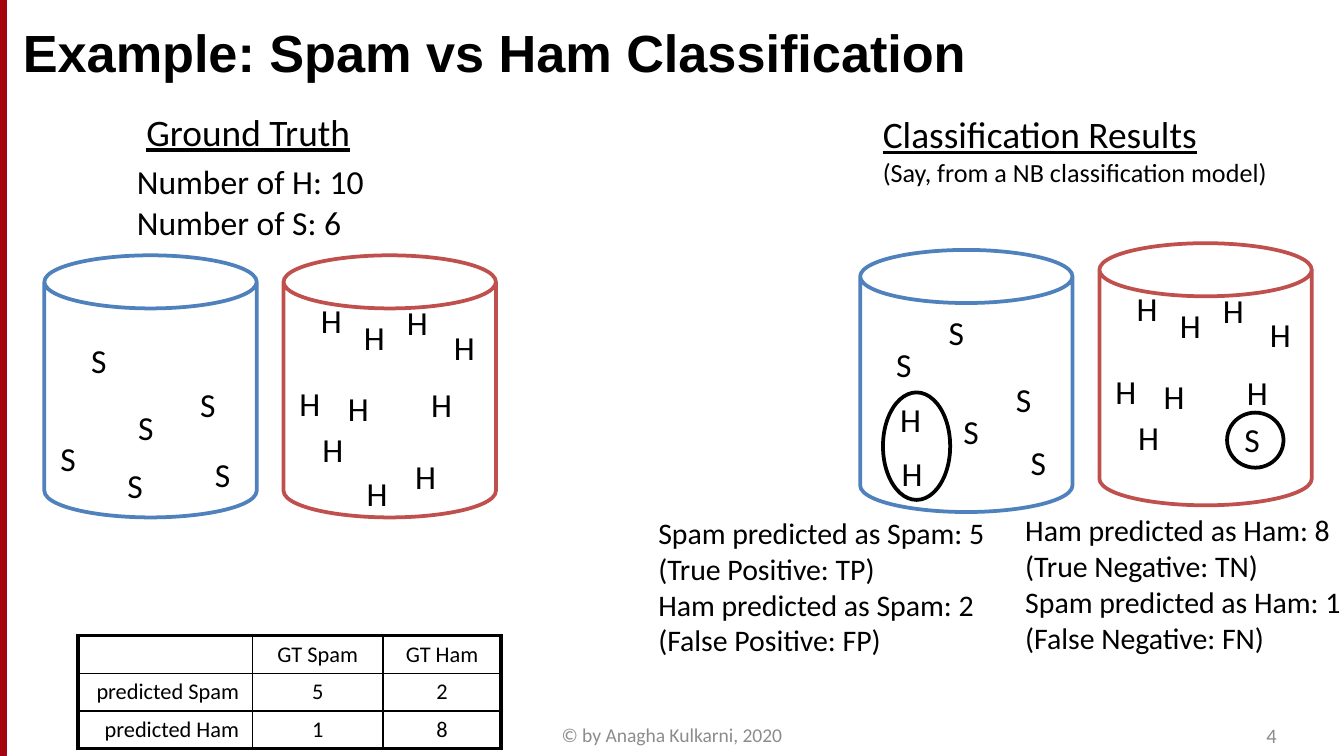
from lxml import etree
from pptx import Presentation
from pptx import util as u
from pptx.dml.color import RGBColor
from pptx.enum import shapes, text
from pptx.oxml import ns

BLACK = RGBColor(0, 0, 0)
WHITE = RGBColor(255, 255, 255)
GRAY = RGBColor(0x8C, 0x8C, 0x8C)
SPAM_BLUE = RGBColor(0x4F, 0x81, 0xBD)
HAM_RED = RGBColor(0xC0, 0x50, 0x4D)
STRIPE = RGBColor(0xA4, 0x05, 0x08)
STRIPE_EDGE = RGBColor(0xA4, 0x00, 0x1D)

CAN_SIZE = (1.58, 1.95)
LETTER_WIDTH = {"H": 0.36, "S": 0.32}

# Letter offsets from the top left corner of their can
SHARED_HAM = [(0.5, 0.41), (1, 0.91), (0.38, 0.94), (1.17, 0.48),
              (0.82, 0.3), (0.02, 0.9), (0.19, 1.24), (0.18, 0.28)]
EXTRA_HAM = [(0.88, 1.44), (0.52, 1.57)]
TRUE_SPAM = [(0.6, 1.08), (0.52, 1.51), (0.02, 1.31),
             (1.06, 0.91), (0.25, 0.58), (1.17, 1.43)]
PREDICTED_SPAM = [(0.56, 0.41), (0.17, 0.65), (1.06, 0.91),
                  (0.67, 1.15), (1.17, 1.38)]
FALSE_POSITIVES = [(0.2, 1.06), (0.21, 1.46)]
FALSE_NEGATIVES = [(0.98, 1.26)]


def inches(*lengths):
    return [u.Inches(length) for length in lengths]


def style_font(font, size, color=BLACK, name="Calibri"):
    font.name = name
    font.size = u.Pt(size)
    font.color.rgb = color


def clear_margins(frame):
    frame.margin_left = frame.margin_right = 0
    frame.margin_top = frame.margin_bottom = 0


def add_text(parent, box, content, size, color=BLACK, align=text.PP_ALIGN.LEFT,
             inset=True):
    frame = parent.shapes.add_textbox(*inches(*box)).text_frame
    frame.word_wrap = True
    if not inset:
        clear_margins(frame)
    frame.text = content
    for paragraph in frame.paragraphs:
        paragraph.alignment = align
        style_font(paragraph.runs[0].font, size, color)
    return frame


def add_outline(parent, preset, box, color, width=2, fill=None):
    outline = parent.shapes.add_shape(preset, *inches(*box))
    outline.shadow.inherit = False
    if fill is None:
        outline.fill.background()
    else:
        outline.fill.solid()
        outline.fill.fore_color.rgb = fill
    outline.line.color.rgb = color
    outline.line.width = u.Pt(width)


def add_can(slide, left, top, color, letters):
    """Draw a can holding letters, given as {letter: offsets}."""
    can = slide.shapes.add_group_shape()
    add_outline(can, shapes.MSO_SHAPE.CAN, (left, top, *CAN_SIZE), color, fill=WHITE)
    for letter, offsets in letters.items():
        for dx, dy in offsets:
            add_text(can, (left + dx, top + dy, LETTER_WIDTH[letter], 0.4), letter, 18)


def add_stripe(slide):
    stripe = slide.shapes.add_connector(
        shapes.MSO_CONNECTOR.STRAIGHT, *inches(0.02, 0, 0.02, 5.62))
    stripe.line.color.rgb = STRIPE
    stripe.line.width = u.Pt(3.6)
    etree.SubElement(stripe._element.spPr, ns.qn("a:effectLst"))
    add_outline(slide, shapes.MSO_SHAPE.RECTANGLE, (0, 0, 0.05, 5.62), STRIPE_EDGE, 0.75)


def add_title(slide):
    title = slide.shapes.title
    title.left, title.top, title.width, title.height = inches(0.17, 0.15, 8.33, 0.47)
    frame = title.text_frame
    clear_margins(frame)
    frame.text = "Example: Spam vs Ham Classification"
    heading = frame.paragraphs[0]
    heading.alignment = text.PP_ALIGN.LEFT
    style_font(heading.runs[0].font, 28, name="Arial")
    heading.runs[0].font.bold = True


def set_borders(cell, widths):
    """Set black borders; widths maps L, R, T, B to points."""
    properties = cell._tc.get_or_add_tcPr()
    for side, width in widths.items():
        border = etree.SubElement(properties, ns.qn(f"a:ln{side}"), w=str(u.Pt(width)))
        fill = etree.SubElement(border, ns.qn("a:solidFill"))
        etree.SubElement(fill, ns.qn("a:srgbClr"), val=str(BLACK))


def add_confusion_matrix(slide):
    rows = [("", "GT Spam", "GT Ham"),
            ("predicted Spam", "5", "2"),
            ("predicted Ham", "1", "8")]
    matrix = slide.shapes.add_table(3, 3, *inches(0.58, 4.73, 3.15, 0.83)).table
    for column, width in zip(matrix.columns, (1.3, 0.97, 0.88)):
        column.width = u.Inches(width)
    for r, row in enumerate(rows):
        for c, content in enumerate(row):
            cell = matrix.cell(r, c)
            cell.margin_top = cell.margin_bottom = u.Inches(0.04)
            cell.text = content
            label = cell.text_frame.paragraphs[0]
            label.alignment = text.PP_ALIGN.CENTER if c else text.PP_ALIGN.RIGHT
            style_font(label.font, 12)
            label.font.bold = False
            for run in label.runs:
                style_font(run.font, 12)
            outer = {"L": c == 0, "R": c == 2, "T": r == 0, "B": r == 2}
            set_borders(cell, {side: 2.25 if edge else 1 for side, edge in outer.items()})
            cell.fill.background()


def main():
    deck = Presentation()
    deck.slide_width = u.Inches(10)
    deck.slide_height = deck.slide_width * 9 // 16
    slide = deck.slides.add_slide(deck.slide_layouts[5])
    add_stripe(slide)
    add_title(slide)

    # Ground truth
    truth = add_text(slide, (0.99, 0.76, 2.05, 0.44), "Ground Truth", 20)
    truth.paragraphs[0].runs[0].font.underline = True
    add_text(slide, (0.92, 1.15, 1.91, 0.71), "Number of H: 10\nNumber of S: 6", 18)
    add_can(slide, 0.33, 1.9, SPAM_BLUE, {"S": TRUE_SPAM})
    add_can(slide, 2.11, 1.9, HAM_RED, {"H": SHARED_HAM + EXTRA_HAM})

    # Classification results
    results = add_text(slide, (6.47, 0.78, 3.66, 0.67),
                       "Classification Results\n(Say, from a NB classification model)", 20)
    results.paragraphs[0].runs[0].font.underline = True
    results.paragraphs[1].runs[0].font.size = u.Pt(14)
    add_can(slide, 6.4, 1.86, SPAM_BLUE, {"H": FALSE_POSITIVES, "S": PREDICTED_SPAM})
    add_can(slide, 8.18, 1.81, HAM_RED, {"H": SHARED_HAM, "S": FALSE_NEGATIVES})

    # Circles around the misclassified letters
    for box in [(6.57, 2.92, 0.5, 0.8), (9.13, 3.07, 0.42, 0.41)]:
        add_outline(slide, shapes.MSO_SHAPE.OVAL, box, BLACK)

    # Counts under the result cans
    add_text(slide, (4.8, 3.78, 2.66, 1.18),
             "Spam predicted as Spam: 5\n(True Positive: TP)\n"
             "Ham predicted as Spam: 2\n(False Positive: FP)", 16)
    add_text(slide, (7.53, 3.76, 2.58, 1.18),
             "Ham predicted as Ham: 8\n(True Negative: TN)\n"
             "Spam predicted as Ham: 1\n(False Negative: FN)", 16)

    add_confusion_matrix(slide)

    # Footer
    add_text(slide, (3.4, 5.38, 3.2, 0.18), "© by Anagha Kulkarni, 2020", 10.5, GRAY,
             text.PP_ALIGN.CENTER, inset=False)
    add_text(slide, (7.2, 5.38, 2.3, 0.19), "4", 11, GRAY,
             text.PP_ALIGN.RIGHT, inset=False)
    deck.save("out.pptx")


if __name__ == "__main__":
    main()
